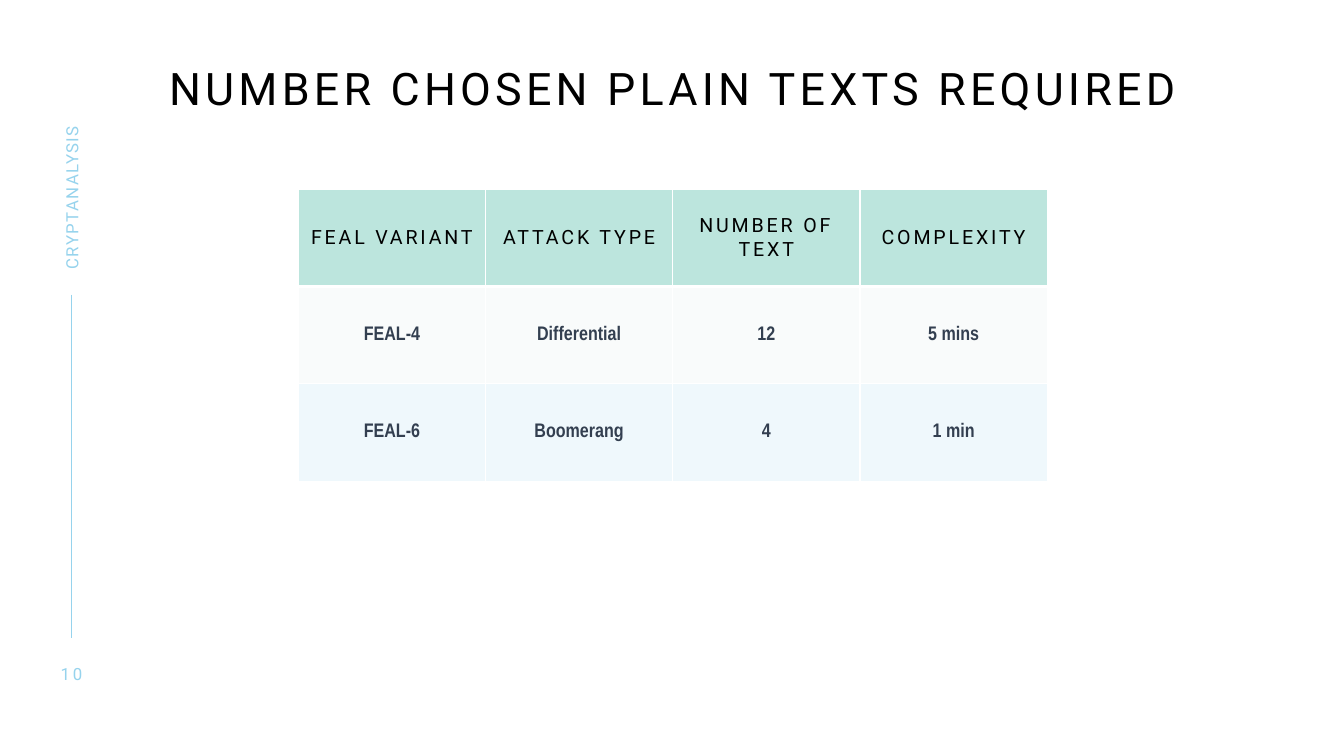
from lxml.etree import SubElement
from pptx import Presentation
from pptx.dml.color import RGBColor
from pptx.enum.shapes import MSO_CONNECTOR
from pptx.enum.text import MSO_ANCHOR, PP_ALIGN
from pptx.oxml.ns import qn
from pptx.util import Pt

BLACK, WHITE, SKY, SLATE = "000000", "FFFFFF", "96D3ED", "333F50"
MINT, MIST = "BCE5DD", "C7DBE1"

ROWS = [
    ["FEAL VARIANT", "ATTACK TYPE", "NUMBER OF TEXT", "COMPLEXITY"],
    ["FEAL-4", "Differential", "12", "5 mins"],
    ["FEAL-6", "Boomerang", "4", "1 min"],
]
# Fill, opacity in percent, font, text colour, letter spacing, bold
ROW_STYLES = [
    (MINT, 100, "Roboto", BLACK, 2, False),
    (MIST, 10, "Arial Narrow", SLATE, 0, True),
    (SKY, 15, "Arial Narrow", SLATE, 0, True),
]


def color(hex_code):
    return RGBColor.from_string(hex_code)


def write(text_frame, text, size, hex_code, font="Roboto", spacing=0,
          bold=False, align=PP_ALIGN.CENTER):
    """Put one formatted paragraph in the frame; spacing is in points."""
    text_frame.text = text
    paragraph = text_frame.paragraphs[0]
    paragraph.alignment = align
    run = paragraph.runs[0]
    run.font.name = font
    run.font.size = Pt(size)
    run.font.bold = bold
    run.font.color.rgb = color(hex_code)
    run.font._element.set("spc", str(spacing * 100))
    return paragraph


def add_text_box(slide, left, top, width, height, anchor=MSO_ANCHOR.MIDDLE):
    box = slide.shapes.add_textbox(Pt(left), Pt(top), Pt(width), Pt(height))
    frame = box.text_frame
    frame.word_wrap = True
    frame.vertical_anchor = anchor
    frame.margin_left = frame.margin_right = 0
    frame.margin_top = frame.margin_bottom = 0
    return box


def add_title(slide, left, top, width, height):
    box = add_text_box(slide, left, top, width, height, MSO_ANCHOR.TOP)
    paragraph = write(box.text_frame, "NUMBER CHOSEN PLAIN TEXTS REQUIRED",
                      32, BLACK, spacing=3)
    paragraph.line_spacing = 0.9


def add_sidebar(slide, left, top, width, height):
    """Vertical section label, rule and page number, centred in a column."""
    center = left + width / 2
    label_length, label_height = 140.4, 15.2
    label = add_text_box(slide, center - label_length / 2,
                         top + (label_length - label_height) / 2,
                         label_length, label_height)
    label.rotation = 270
    write(label.text_frame, "CRYPTANALYSIS", 12, SKY, spacing=1,
          align=PP_ALIGN.LEFT)

    bottom = top + height
    rule = slide.shapes.add_connector(
        MSO_CONNECTOR.STRAIGHT, Pt(center), Pt(top + label_length + 18),
        Pt(center), Pt(bottom - 32.4))
    rule.line.color.rgb = color(SKY)
    rule.line.width = Pt(1)
    SubElement(rule._element.spPr, qn("a:effectLst"))

    number = add_text_box(slide, left, bottom - 14.4, width, 14.4)
    write(number.text_frame, "10", 12, SKY, spacing=2)


def fill_cell(cell, hex_code, opacity):
    cell.fill.solid()
    cell.fill.fore_color.rgb = color(hex_code)
    if opacity < 100:
        shade = cell._tc.tcPr.find(".//" + qn("a:srgbClr"))
        SubElement(shade, qn("a:alpha"), val=str(opacity * 1000))


def add_borders(cell, widths):
    """Draw white borders; widths maps each side tag to points."""
    properties = cell._tc.get_or_add_tcPr()
    for index, (side, width) in enumerate(widths.items()):
        line = SubElement(properties, qn("a:" + side), w=str(Pt(width)))
        solid = SubElement(line, qn("a:solidFill"))
        SubElement(solid, qn("a:srgbClr"), val=WHITE)
        properties.insert(index, line)


def add_attack_table(slide, left, top, width, height):
    frame = slide.shapes.add_table(len(ROWS), len(ROWS[0]), Pt(left), Pt(top),
                                   Pt(width), Pt(height))
    table = frame.table
    table.horz_banding = False
    for column in table.columns:
        column.width = Pt(width / len(ROWS[0]))
    for row_index, (texts, style) in enumerate(zip(ROWS, ROW_STYLES)):
        fill, opacity, font, text_color, spacing, bold = style
        table.rows[row_index].height = Pt(height / len(ROWS))
        borders = {"lnL": 1, "lnR": 1,
                   "lnT": 3 if row_index == 1 else 1,
                   "lnB": 3 if row_index == 0 else 1}
        for column_index, text in enumerate(texts):
            cell = table.cell(row_index, column_index)
            cell.vertical_anchor = MSO_ANCHOR.MIDDLE
            write(cell.text_frame, text, 14, text_color, font, spacing, bold)
            fill_cell(cell, fill, opacity)
            add_borders(cell, borders)


def main():
    presentation = Presentation()
    presentation.slide_width, presentation.slide_height = Pt(960), Pt(540)
    slide = presentation.slides.add_slide(presentation.slide_layouts[6])
    add_sidebar(slide, 33.1, 52, 36, 436.2)
    add_title(slide, 93.6, 48, 774, 72)
    add_attack_table(slide, 213.1, 135, 535, 208.8)
    presentation.save("out.pptx")


if __name__ == "__main__":
    main()
